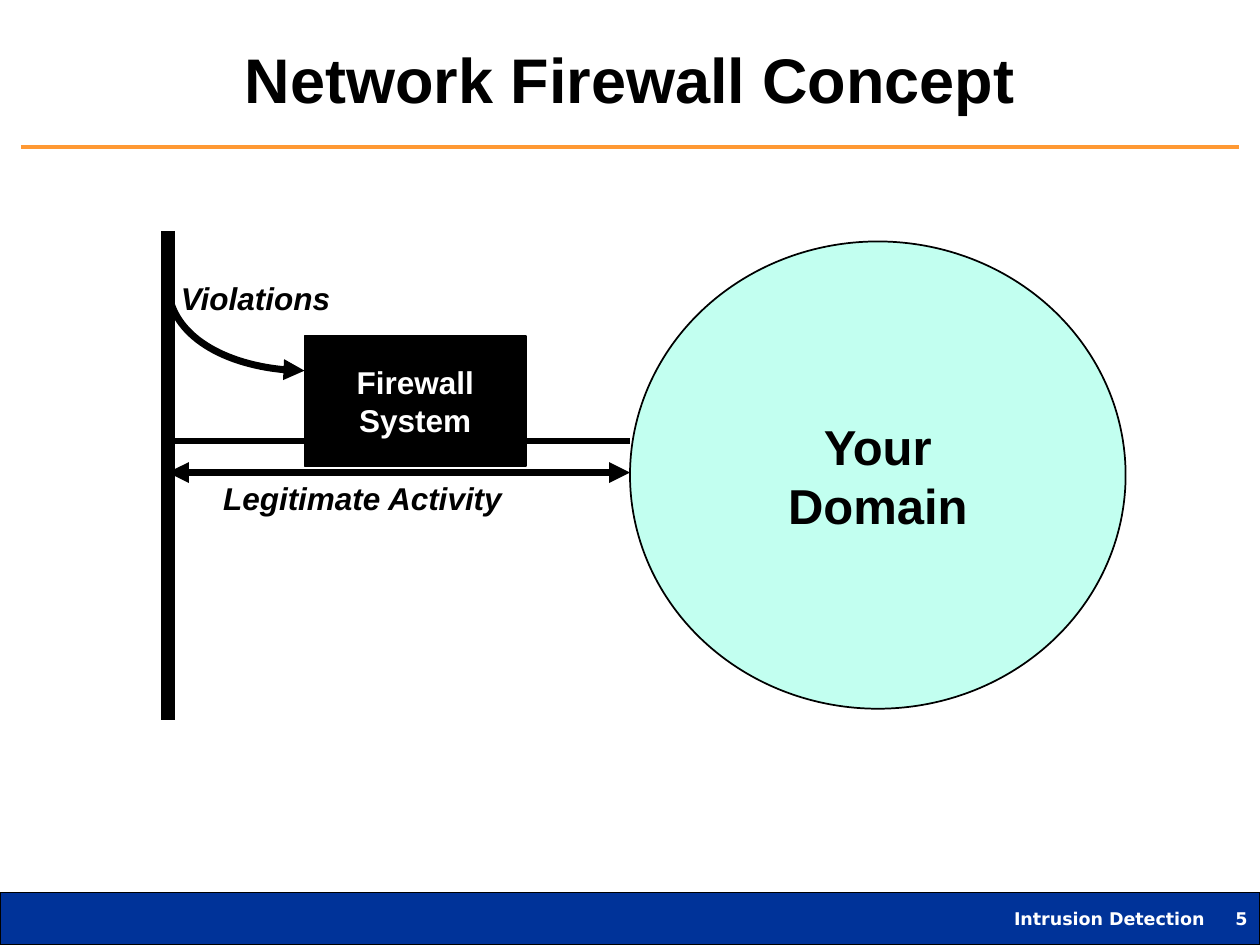
from dataclasses import dataclass

import lxml.etree
import pptx
import pptx.dml.color
import pptx.enum.shapes
import pptx.enum.text
import pptx.oxml.ns
import pptx.util

SHAPE = pptx.enum.shapes.MSO_SHAPE
ALIGN = pptx.enum.text.PP_ALIGN
ANCHOR = pptx.enum.text.MSO_ANCHOR
CELL = 1 / 12  # inches; the slide is a grid of 120 columns by 90 rows
qn = pptx.oxml.ns.qn


@dataclass(frozen=True)
class Theme:
    ink: str = "000000"
    paper: str = "FFFFFF"
    rule: str = "FF9933"
    footer: str = "003399"
    domain: str = "C2FFF0"
    font: str = "Arial"
    footer_font: str = "DejaVu Sans"
    title_size: int = 36
    domain_size: int = 28
    label_size: int = 18
    footer_size: int = 10
    outline: float = 1
    flow: float = 4
    wall: float = 8


@dataclass(frozen=True)
class Box:
    left: float
    top: float
    width: float
    height: float

    def point(self, column, row):
        return cells(self.left + column), cells(self.top + row)

    def inner(self, column, row, width, height):
        return Box(self.left + column, self.top + row, width, height)

    def place(self):
        return (*self.point(0, 0), cells(self.width), cells(self.height))


THEME = Theme()


def cells(count):
    return pptx.util.Inches(count * CELL)


def colour(value):
    return pptx.dml.color.RGBColor.from_string(value)


def write(shape, lines, size, ink, align=ALIGN.CENTER, font=THEME.font,
          italic=False, anchor=ANCHOR.MIDDLE, right_inset=0.1):
    frame = shape.text_frame
    frame.word_wrap = False
    frame.vertical_anchor = anchor
    frame.margin_right = pptx.util.Inches(right_inset)
    for index, line in enumerate(lines):
        para = frame.add_paragraph() if index else frame.paragraphs[0]
        para.alignment = align
        span = para.add_run()
        span.text = line
        span.font.name = font
        span.font.size = pptx.util.Pt(size)
        span.font.bold = True
        span.font.italic = italic
        span.font.color.rgb = colour(ink)


def add_block(page, kind, box, fill, width=THEME.outline):
    shape = page.shapes.add_shape(kind, *box.place())
    shape.shadow.inherit = False
    shape.fill.solid()
    shape.fill.fore_color.rgb = colour(fill)
    shape.line.color.rgb = colour(THEME.ink)
    shape.line.width = pptx.util.Pt(width)
    return shape


def add_line(page, start, end, width, ink=THEME.ink):
    line = page.shapes.add_connector(
        pptx.enum.shapes.MSO_CONNECTOR.STRAIGHT, *start, *end)
    line.line.color.rgb = colour(ink)
    line.line.width = pptx.util.Pt(width)
    lxml.etree.SubElement(line._element.spPr, qn("a:effectLst"))
    return line


def add_arrowheads(shape, *ends):
    outline = shape.line._get_or_add_ln()
    for end in ends:
        lxml.etree.SubElement(outline, qn(f"a:{end}"), type="triangle")


def add_curve(page, start, *controls):
    builder = page.shapes.build_freeform(*start)
    builder.add_line_segments(controls, close=False)
    curve = builder.convert_to_shape()
    # Turn the three straight segments into one cubic curve
    route = next(curve._element.iter(qn("a:path")))
    bezier = lxml.etree.SubElement(route, qn("a:cubicBezTo"))
    for segment in route.findall(qn("a:lnTo")):
        bezier.append(segment[0])
        route.remove(segment)
    curve.shadow.inherit = False
    curve.fill.background()
    curve.line.color.rgb = colour(THEME.ink)
    curve.line.width = pptx.util.Pt(THEME.flow)
    return curve


def add_label(page, box, text, right_inset):
    label = page.shapes.add_textbox(*box.place())
    write(label, [text], THEME.label_size, THEME.ink, ALIGN.RIGHT,
          italic=True, anchor=ANCHOR.TOP, right_inset=right_inset)


def build_footer(page, box):
    bar = add_block(page, SHAPE.RECTANGLE, box, THEME.footer, 0.75)
    number = page.shapes.add_textbox(*box.inner(116, 0, 4, box.height).place())
    for shape, text, inset in ((bar, "Intrusion Detection", 0.44),
                               (number, "5", 0.1)):
        write(shape, [text], THEME.footer_size, THEME.paper, ALIGN.RIGHT,
              THEME.footer_font, right_inset=inset)


def build_header(page, box):
    add_line(page, box.point(-1, 14), box.point(box.width + 1, 14),
             2.25, THEME.rule)
    title = page.shapes.title
    title.left, title.top, title.width, title.height = box.place()
    write(title, ["Network Firewall Concept"], THEME.title_size, THEME.ink)


def build_diagram(page, box):
    # Traffic lines and the outer wall
    allowed = add_line(page, box.point(44, 23), box.point(0, 23), THEME.flow)
    add_arrowheads(allowed, "headEnd", "tailEnd")
    add_line(page, box.point(0, 20), box.point(44, 20), THEME.flow)
    add_line(page, box.point(0, 0), box.point(0, box.height), THEME.wall)

    # Firewall and protected domain
    firewall = add_block(page, SHAPE.RECTANGLE,
                         box.inner(13, 10, 21.1, 12.4), THEME.ink)
    write(firewall, ["Firewall", "System"], THEME.label_size, THEME.paper)
    domain = add_block(page, SHAPE.OVAL,
                       box.inner(44, 1, 47.2, 44.5), THEME.domain)
    write(domain, ["Your", "Domain"], THEME.domain_size, THEME.ink)

    # Violations bend from the wall into the firewall
    violations = add_curve(page, box.point(13, 13.3), box.point(5.8, 13.3),
                           box.point(0, 9.6), box.point(0, 5))
    add_arrowheads(violations, "headEnd")

    # Labels
    add_label(page, box.inner(4, 23, 30.7, 4.8), "Legitimate Activity", 0.24)
    add_label(page, box.inner(0, 4, 17.5, 4.8), "Violations", 0.17)


def main():
    deck = pptx.Presentation()
    deck.slide_width, deck.slide_height = cells(120), cells(90)
    page = deck.slides.add_slide(deck.slide_layouts.get_by_name("Title Only"))
    build_footer(page, Box(0, 85, 120, 5))
    build_header(page, Box(3, 0, 114, 15))
    build_diagram(page, Box(16, 22, 91.2, 46.6))
    deck.save("out.pptx")


if __name__ == "__main__":
    main()
